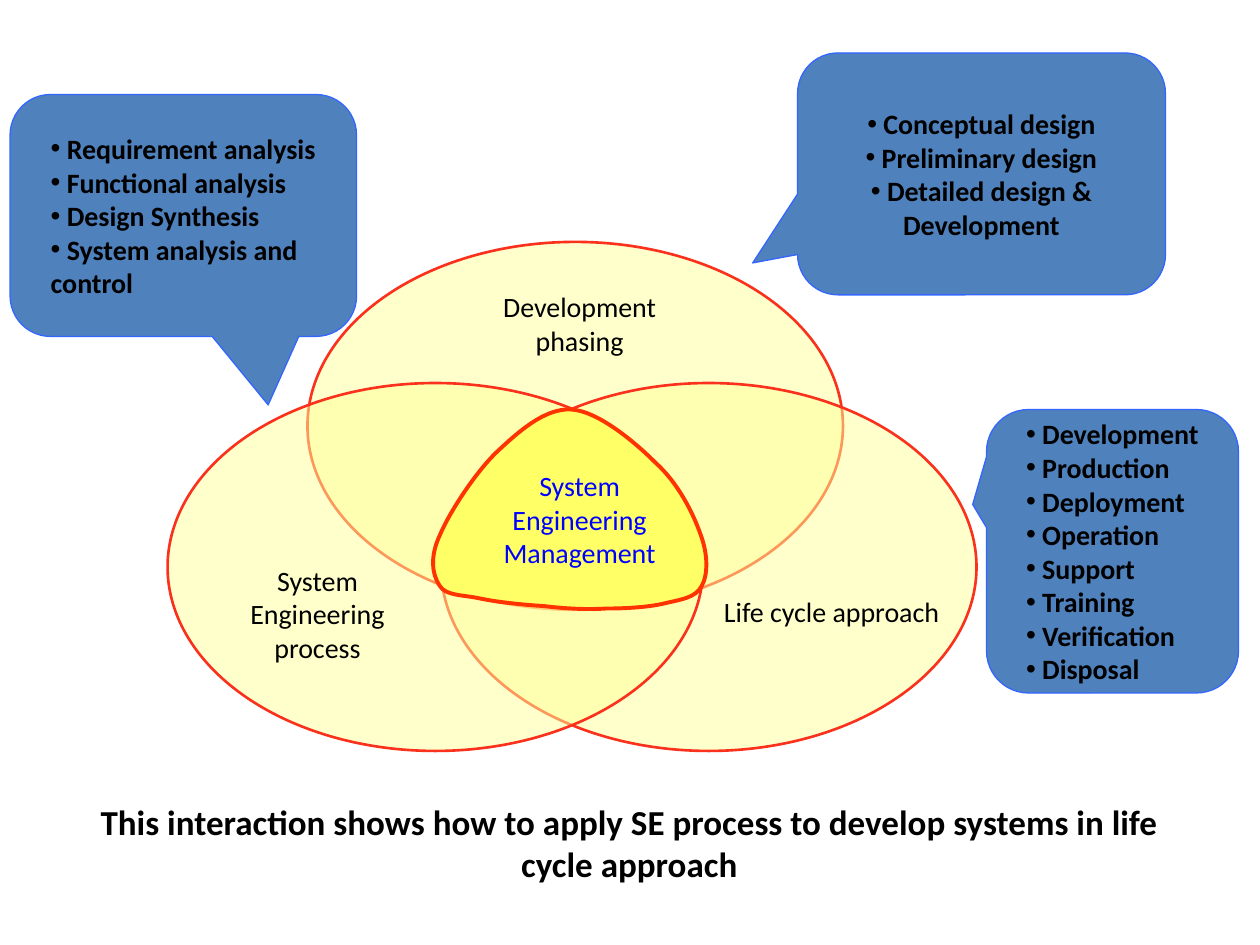
from dataclasses import dataclass

from lxml import etree
from pptx import Presentation
from pptx import util as u
from pptx.dml.color import RGBColor
from pptx.enum import shapes, text
from pptx.oxml import ns

COLORS = {
    "pale": "FFFF99", "core": "FFFF66", "ring": "FA311C", "core_line": "FF3300",
    "callout": "4F81BD", "callout_line": "3366FF", "black": "000000", "blue": "0000FF",
}
LEFT, CENTER = text.PP_ALIGN.LEFT, text.PP_ALIGN.CENTER
TOP, MIDDLE, BOTTOM = (text.MSO_ANCHOR.TOP, text.MSO_ANCHOR.MIDDLE,
                       text.MSO_ANCHOR.BOTTOM)
Box = tuple[float, float, float, float]


@dataclass
class Label:
    text: str
    box: Box
    color: str = "black"
    size: int = 16
    bold: bool = False
    anchor: text.MSO_ANCHOR = TOP


@dataclass
class Callout:
    items: list[str]
    box: Box
    tip: tuple[float, float]
    align: text.PP_ALIGN = LEFT


CIRCLE_SIZE = (4.25, 2.92)
CIRCLES = [(2.44, 1.92), (3.5, 3.04), (1.33, 3.04)]

# Start point, then curves of two control points and an end point
CORE_START = (3.49, 4.65)
CORE_CURVES = [
    ((3.43, 4.56), (3.41, 4.42), (3.49, 4.25)),
    ((3.56, 4.08), (3.76, 3.77), (3.93, 3.6)),
    ((4.11, 3.43), (4.32, 3.24), (4.53, 3.25)),
    ((4.74, 3.26), (5.03, 3.5), (5.2, 3.67)),
    ((5.38, 3.83), (5.5, 4.07), (5.56, 4.24)),
    ((5.62, 4.4), (5.62, 4.56), (5.57, 4.65)),
    ((5.52, 4.75), (5.39, 4.76), (5.27, 4.79)),
    ((5.14, 4.82), (4.97, 4.83), (4.81, 4.83)),
    ((4.65, 4.84), (4.48, 4.83), (4.31, 4.81)),
    ((4.15, 4.8), (3.95, 4.78), (3.81, 4.75)),
    ((3.67, 4.72), (3.54, 4.73), (3.49, 4.65)),
]

LABELS = [
    Label("Development phasing", (3.64, 2.25, 1.92, 0.64)),
    Label("System Engineering process", (1.56, 4.42, 1.92, 0.9)),
    Label("Life cycle approach", (5.64, 4.67, 1.92, 0.64)),
    Label("System Engineering Management", (3.64, 3.67, 1.92, 0.9), "blue"),
    Label("This interaction shows how to apply SE process to develop systems "
          "in life cycle approach", (0.58, 6.3, 8.83, 0.77),
          size=20, bold=True, anchor=BOTTOM),
]

CALLOUTS = [
    Callout(["Conceptual design", "Preliminary design", "Detailed design & Development"],
            (6.33, 0.42, 2.92, 1.92), (-0.622, 0.368), CENTER),
    Callout(["Requirement analysis", "Functional analysis", "Design Synthesis",
             "System analysis and control"],
            (0.08, 0.75, 2.75, 1.92), (0.245, 0.783)),
    Callout(["Development", "Production", "Deployment", "Operation", "Support",
             "Training", "Verification", "Disposal"],
            (7.83, 3.25, 2, 2.25), (-0.555, -0.165)),
]


def rgb(name: str) -> RGBColor:
    return RGBColor.from_string(COLORS[name])


def paint(sp, fill: str, line: str, width: float) -> None:
    sp.shadow.inherit = False
    sp.fill.solid()
    sp.fill.fore_color.rgb = rgb(fill)
    sp.line.color.rgb = rgb(line)
    sp.line.width = u.Pt(width)


def write(p, content: str, align, color: str, size: int, bold: bool) -> None:
    p.alignment = align
    r = p.add_run()
    r.text = content
    for name, value in {"name": "Calibri", "size": u.Pt(size), "bold": bold}.items():
        setattr(r.font, name, value)
    r.font.color.rgb = rgb(color)


def add_bullet(p) -> None:
    pPr = p._p.get_or_add_pPr()
    for name in ("marL", "indent"):
        pPr.set(name, "0")
    etree.SubElement(pPr, ns.qn("a:buFont")).set("typeface", "Arial")
    etree.SubElement(pPr, ns.qn("a:buChar")).set("char", "•")


def add_circle(slide, left: float, top: float) -> None:
    sp = slide.shapes.add_shape(shapes.MSO_SHAPE.OVAL,
                                *map(u.Inches, (left, top, *CIRCLE_SIZE)))
    paint(sp, "pale", "ring", 1.5)
    color = sp._element.spPr.find(ns.qn("a:solidFill"))[0]
    etree.SubElement(color, ns.qn("a:alpha")).set("val", "50000")


def add_core(slide) -> None:
    builder = slide.shapes.build_freeform(*map(u.Inches, CORE_START))
    builder.add_line_segments(
        [tuple(map(u.Inches, point)) for curve in CORE_CURVES for point in curve],
        close=True)
    sp = builder.convert_to_shape()
    paint(sp, "core", "core_line", 2.25)
    # Every three line points become one Bezier curve
    lines = list(sp._element.iter(ns.qn("a:lnTo")))
    for i in range(0, 3 * len(CORE_CURVES), 3):
        curve = etree.Element(ns.qn("a:cubicBezTo"))
        lines[i].addprevious(curve)
        for line in lines[i:i + 3]:
            curve.append(line[0])
            line.getparent().remove(line)


def add_label(slide, label: Label) -> None:
    tf = slide.shapes.add_textbox(*map(u.Inches, label.box)).text_frame
    tf.word_wrap = True
    tf.vertical_anchor = label.anchor
    write(tf.paragraphs[0], label.text, CENTER, label.color, label.size, label.bold)


def add_callout(slide, callout: Callout) -> None:
    sp = slide.shapes.add_shape(shapes.MSO_SHAPE.ROUNDED_RECTANGULAR_CALLOUT,
                                *map(u.Inches, callout.box))
    for i, value in enumerate((*callout.tip, 0.167)):
        sp.adjustments[i] = value
    paint(sp, "callout", "callout_line", 0.75)
    tf = sp.text_frame
    tf.word_wrap = True
    tf.vertical_anchor = MIDDLE
    tf._txBody.bodyPr.set("anchorCtr", "1")
    for i, item in enumerate(callout.items):
        p = tf.add_paragraph() if i else tf.paragraphs[0]
        write(p, f" {item}", callout.align, "black", 16, True)
        add_bullet(p)


prs = Presentation()
prs.slide_width, prs.slide_height = u.Inches(10), u.Inches(7.5)
slide = prs.slides.add_slide(prs.slide_layouts[6])

# Overlapping circles and their shared core
for left, top in CIRCLES:
    add_circle(slide, left, top)
add_core(slide)

# Labels and closing statement
for label in LABELS:
    add_label(slide, label)

# Callouts with bullet lists
for callout in CALLOUTS:
    add_callout(slide, callout)

prs.save("out.pptx")
